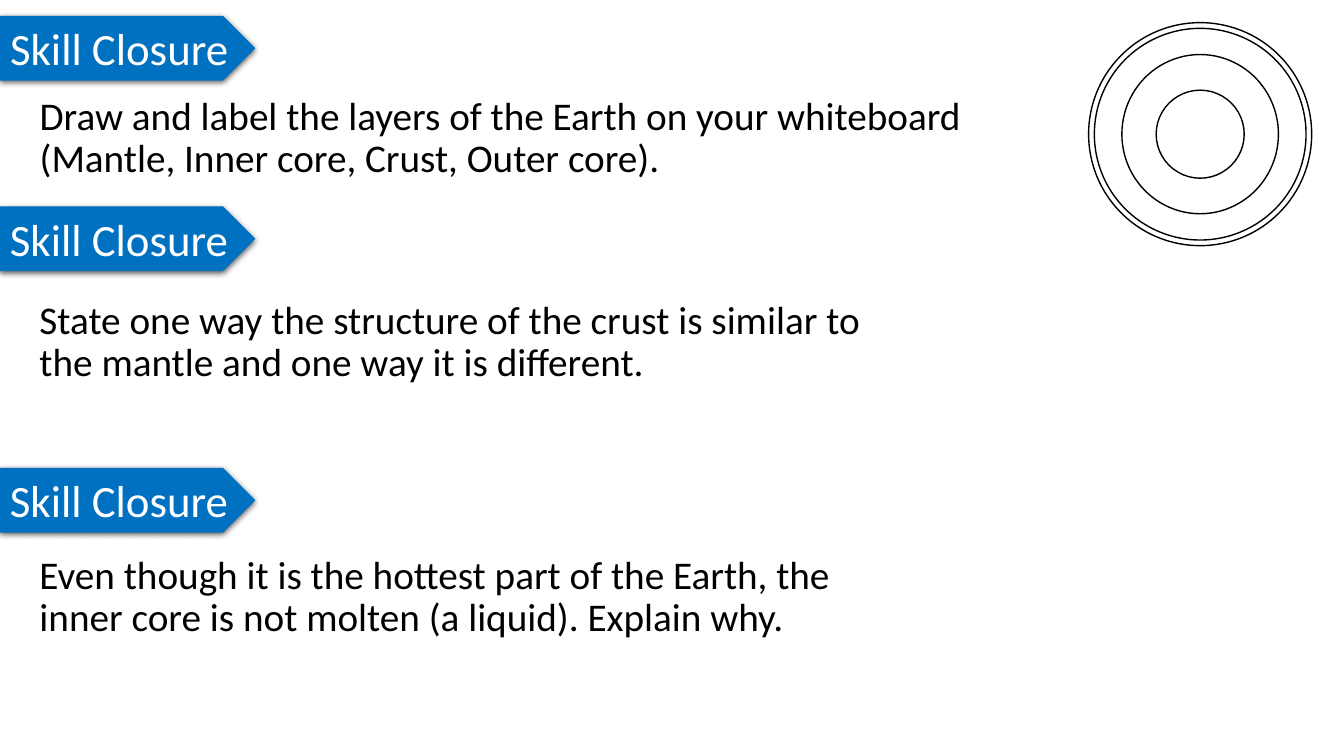
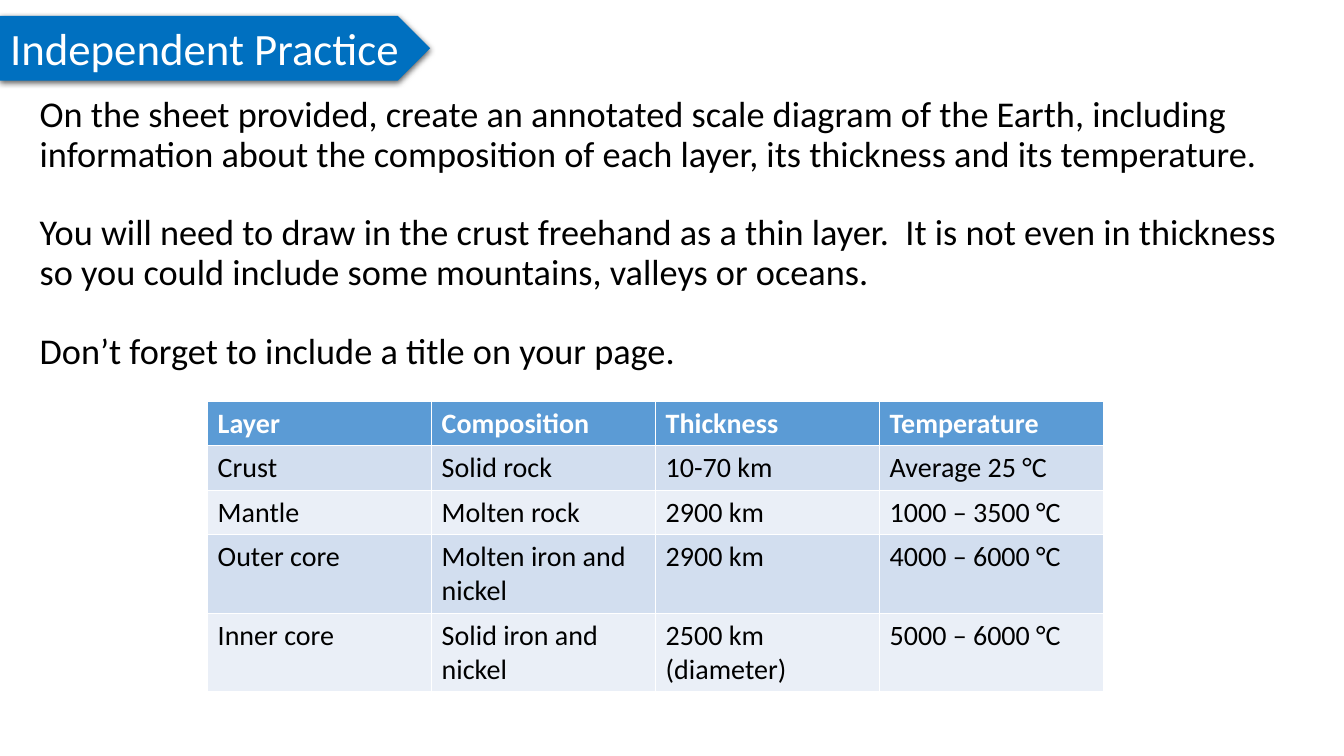
"""Builds two lesson slides about the layers of the Earth."""
import lxml.etree
import pptx
import pptx.dml.color
import pptx.enum.shapes
import pptx.enum.text
import pptx.oxml
import pptx.oxml.ns
import pptx.util

FONT = "Calibri"
BLACK, WHITE, BLUE = "000000", "FFFFFF", "0070C0"
HEADER_FILL, BAND_FILLS = "5B9BD5", ("D2DEEF", "EAEFF7")
TEXT_LEFT, TEXT_TOP = 2.2, 12.1
BANNER_TOP, BANNER_HEIGHT = 2.1, 8.55
SHADOW = (
    '<a:outerShdw xmlns:a="http://schemas.openxmlformats.org/drawingml/2006/main"'
    ' blurRad="57150" dist="19050" dir="5400000" algn="ctr" rotWithShape="0">'
    '<a:srgbClr val="000000"><a:alpha val="63000"/></a:srgbClr></a:outerShdw>'
)

presentation = pptx.Presentation()
presentation.slide_width = pptx.util.Inches(13.33)
presentation.slide_height = pptx.util.Inches(7.5)
column = presentation.slide_width / 100
row = presentation.slide_height / 100


def color(value):
    """Turn a hex string into a colour."""
    return pptx.dml.color.RGBColor.from_string(value)


def write(shape, text, size=28, fill=BLACK, bold=False, spacing=1.0, gap=0, right=0.1):
    """Write one paragraph per line of text, left-aligned from the top."""
    frame = shape.text_frame
    frame.text = text
    frame.word_wrap = True
    if hasattr(frame, "auto_size"):
        frame.auto_size = pptx.enum.text.MSO_AUTO_SIZE.NONE
    frame.vertical_anchor = pptx.enum.text.MSO_ANCHOR.TOP
    frame.margin_right = pptx.util.Inches(right)
    for index, paragraph in enumerate(frame.paragraphs):
        properties = paragraph._p.get_or_add_pPr()
        properties.set("marL", "0")
        properties.set("indent", "0")
        lxml.etree.SubElement(properties, pptx.oxml.ns.qn("a:buNone"))
        paragraph.alignment = pptx.enum.text.PP_ALIGN.LEFT
        paragraph.line_spacing = spacing
        paragraph.space_before = pptx.util.Pt(gap if index else 0)
        paragraph.font.name = FONT
        paragraph.font.size = pptx.util.Pt(size)
        paragraph.font.bold = bold
        paragraph.font.color.rgb = color(fill)


lessons = [
    {
        "title": "Skill Closure",
        "banner_width": 19,
        "banner_tops": (BANNER_TOP, 27.3, 61.9),
        "size": 28,
        "gap": 0,
        "texts": [
            (TEXT_TOP, 73.2, 14.1, "Draw and label the layers of the Earth on your whiteboard\n"
             "(Mantle, Inner core, Crust, Outer core)."),
            (39.1, 66.9, 23.9, "State one way the structure of the crust is similar to "
             "the mantle and one way it is different."),
            (72.8, 66.9, 23.9, "Even though it is the hottest part of the Earth, the "
             "inner core is not molten (a liquid). Explain why."),
        ],
    },
    {
        "title": "Independent Practice",
        "banner_width": 32,
        "banner_tops": (BANNER_TOP,),
        "size": 25.9,
        "gap": 28.4,
        "texts": [
            (TEXT_TOP, 94.9, 39.5, "On the sheet provided, create an annotated scale diagram of the "
             "Earth, including information about the composition of each layer, its thickness "
             "and its temperature.\n"
             "You will need to draw in the crust freehand as a thin layer.  It is not even in "
             "thickness so you could include some mountains, valleys or oceans.\n"
             "Don’t forget to include a title on your page."),
        ],
    },
]

for lesson in lessons:
    slide = presentation.slides.add_slide(presentation.slide_layouts[1])
    title, body = slide.placeholders
    for index, top in enumerate(lesson["banner_tops"]):
        box = (0, int(top * row), int(lesson["banner_width"] * column), int(BANNER_HEIGHT * row))
        banner = slide.shapes.add_shape(pptx.enum.shapes.MSO_SHAPE.PENTAGON, *box)
        banner.fill.solid()
        banner.fill.fore_color.rgb = color(BLUE)
        banner.line.fill.background()
        banner.shadow.inherit = False
        effects = banner._element.spPr.find(pptx.oxml.ns.qn("a:effectLst"))
        effects.append(pptx.oxml.parse_xml(SHADOW))
        label = banner
        if index == 0:
            label = title
            title.left, title.top, title.width, title.height = box
            banner._element.getparent().insert(2, banner._element)
        write(label, lesson["title"], size=32, fill=WHITE, right=0)
    for index, (top, width, height, text) in enumerate(lesson["texts"]):
        box = (int(TEXT_LEFT * column), int(top * row), int(width * column), int(height * row))
        shape = slide.shapes.add_textbox(*box) if index else body
        shape.left, shape.top, shape.width, shape.height = box
        write(shape, text, size=lesson["size"], spacing=0.9, gap=lesson["gap"])

closure_slide, practice_slide = presentation.slides

center_x, center_y = 89.3 * column, 17.75 * row
for width, height in ((16.6, 16.6), (15.75, 15.75), (11.65, 11.85), (6.55, 6.55)):
    layer = closure_slide.shapes.add_shape(
        pptx.enum.shapes.MSO_SHAPE.OVAL,
        int(center_x - width * column / 2), int(center_y - height * column / 2),
        int(width * column), int(height * column),
    )
    layer.fill.background()
    layer.line.color.rgb = color(BLACK)
    layer.line.width = pptx.util.Pt(1)
    layer.shadow.inherit = False

layer_rows = [
    ("Layer", "Composition", "Thickness", "Temperature"),
    ("Crust", "Solid rock", "10-70 km", "Average 25 °C"),
    ("Mantle", "Molten rock", "2900 km", "1000 – 3500 °C"),
    ("Outer core", "Molten iron and nickel", "2900 km", "4000 – 6000 °C"),
    ("Inner core", "Solid iron and nickel", "2500 km (diameter)", "5000 – 6000 °C"),
]
table = practice_slide.shapes.add_table(
    len(layer_rows), len(layer_rows[0]),
    int(15.45 * column), int(53.1 * row),
    int(presentation.slide_width * 4 / 6), int(5.5 * row * len(layer_rows)),
).table
for row_index, values in enumerate(layer_rows):
    is_header = row_index == 0
    for column_index, value in enumerate(values):
        cell = table.cell(row_index, column_index)
        cell.fill.solid()
        cell.fill.fore_color.rgb = color(HEADER_FILL if is_header else BAND_FILLS[(row_index - 1) % 2])
        write(cell, value, size=20, fill=WHITE if is_header else BLACK, bold=is_header)

presentation.save("out.pptx")
